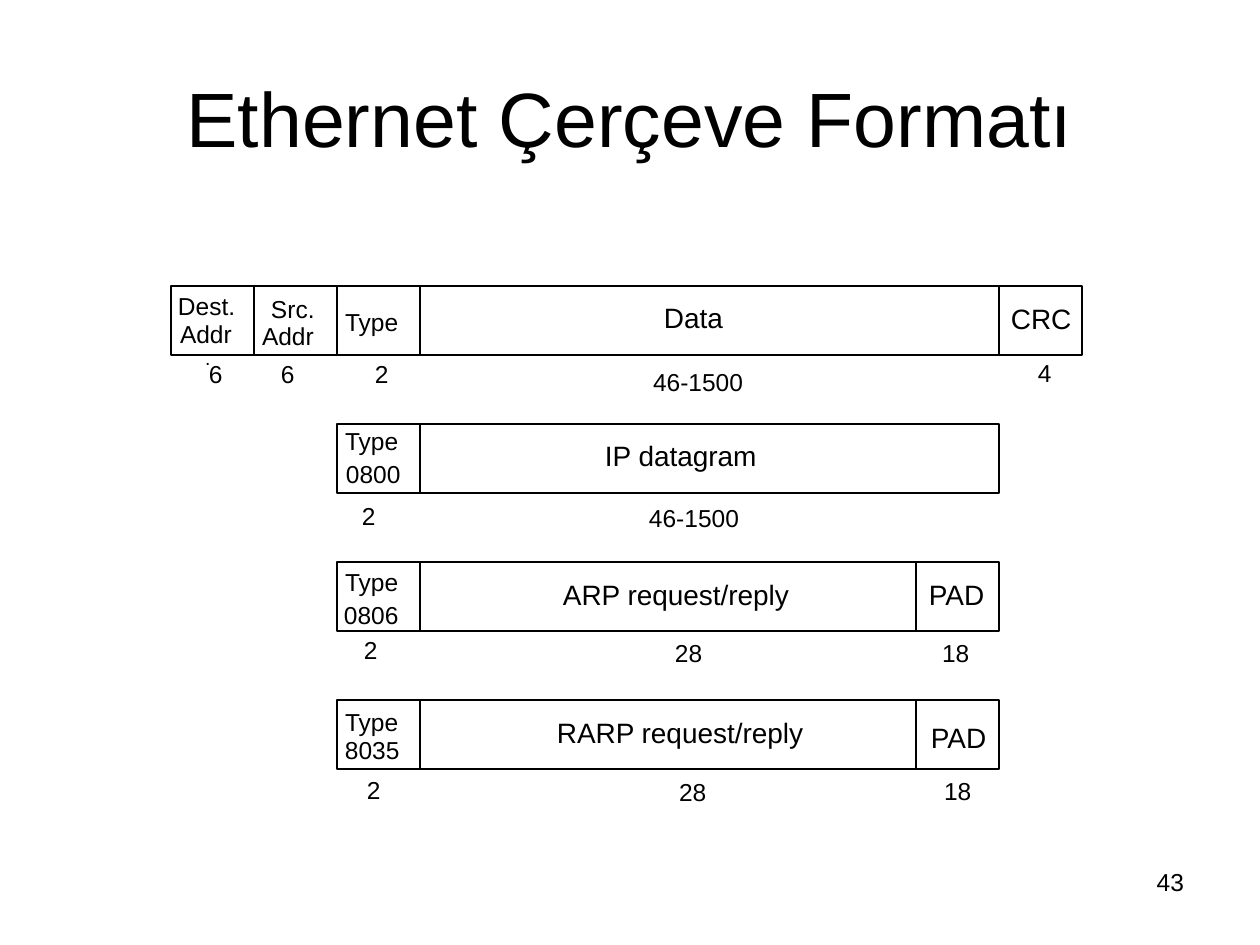
import pptx
import pptx.util
from lxml import etree
from pptx.dml.color import RGBColor
from pptx.enum.shapes import MSO_CONNECTOR, MSO_SHAPE
from pptx.enum.text import MSO_ANCHOR, MSO_AUTO_SIZE, PP_ALIGN
from pptx.oxml.ns import qn

EMU_PER_PX = 914400 / 126
COLORS = {"ink": "000000", "paper": "FFFFFF"}
FONT = "Arial"

TITLE = "Ethernet Çerçeve Formatı"
PAGE_NUMBER = "43"

# Frame edges in px; names and sizes are (text, left, offset below the frame top).
FRAMES = [
    {"edges": [171, 254, 337, 420, 999, 1082],
     "names": [("Data", 664, 15), ("CRC", 1011, 16)],
     "small": [("Dest.", 178, 5), ("Addr", 180, 33), ("Src.", 271, 8),
               ("Addr", 262, 35), ("Type", 345, 21), ("6", 209, 73),
               ("6", 281, 73), ("2", 375, 73), ("46-1500", 653, 81),
               ("4", 1038, 72)],
     "tiny": [(".", 205, 60)]},
    {"edges": [337, 420, 999],
     "names": [("IP datagram", 605, 14)],
     "small": [("Type", 345, 2), ("0800", 346, 35), ("2", 362, 77),
               ("46-1500", 649, 79)]},
    {"edges": [337, 420, 916, 999],
     "names": [("ARP request/reply", 563, 16), ("PAD", 929, 16)],
     "small": [("Type", 345, 5), ("0806", 344, 38), ("2", 364, 73),
               ("28", 675, 76), ("18", 942, 76)]},
    {"edges": [337, 420, 916, 999],
     "names": [("RARP request/reply", 557, 16), ("PAD", 931, 21)],
     "small": [("Type", 345, 7), ("8035", 345, 35), ("2", 367, 75),
               ("28", 679, 77), ("18", 944, 76)]},
]
LABEL_WIDTHS = {
    "Data": 61, "CRC": 64, "PAD": 60, "IP datagram": 154,
    "ARP request/reply": 229, "RARP request/reply": 249,
    "Dest.": 60, "Addr": 54, "Src.": 46, "Type": 56, "46-1500": 93, ".": 7,
}
DIGIT_WIDTH = 15
LABEL_STYLES = {"names": (16, 34), "small": (14, 29), "tiny": (11, 23)}
FIRST_TOP, FRAME_STEP, FRAME_HEIGHT = 286, 138, 69


def px(length):
    return pptx.util.Emu(round(length * EMU_PER_PX))


def color(name):
    return RGBColor.from_string(COLORS[name])


def write(frame, text, size, align=PP_ALIGN.LEFT):
    paragraph = frame.paragraphs[0]
    paragraph.alignment = align
    run = paragraph.add_run()
    run.text = text
    run.font.name = FONT
    run.font.size = pptx.util.Pt(size)
    run.font.color.rgb = color("ink")


def add_text(slide, text, left, top, width, height, size=14,
             align=PP_ALIGN.LEFT, inset=(0, 0), wrap=False):
    frame = slide.shapes.add_textbox(px(left), px(top), px(width), px(height)).text_frame
    frame.margin_left = frame.margin_right = px(inset[0])
    frame.margin_top = frame.margin_bottom = px(inset[1])
    frame.word_wrap = wrap
    frame.auto_size = MSO_AUTO_SIZE.NONE if wrap else MSO_AUTO_SIZE.SHAPE_TO_FIT_TEXT
    write(frame, text, size, align)


def style_line(shape):
    shape.line.color.rgb = color("ink")
    shape.line.width = pptx.util.Pt(0.75)


def add_frame(slide, frame, top):
    """Draw one frame with its field dividers, field names and byte counts."""
    left, *dividers, right = frame["edges"]
    box = slide.shapes.add_shape(MSO_SHAPE.RECTANGLE, px(left), px(top),
                                 px(right - left), px(FRAME_HEIGHT))
    box.shadow.inherit = False
    box.fill.solid()
    box.fill.fore_color.rgb = color("paper")
    style_line(box)
    for x in dividers:
        divider = slide.shapes.add_connector(MSO_CONNECTOR.STRAIGHT, px(x), px(top),
                                             px(x), px(top + FRAME_HEIGHT))
        style_line(divider)
        etree.SubElement(divider.element.spPr, qn("a:effectLst"))
    for kind, (size, height) in LABEL_STYLES.items():
        for text, x, offset in frame.get(kind, []):
            width = LABEL_WIDTHS.get(text, DIGIT_WIDTH * len(text))
            add_text(slide, text, x, top + offset, width, height, size=size)


def main():
    deck = pptx.Presentation()
    deck.slide_width, deck.slide_height = px(1260), px(945)
    slide = deck.slides.add_slide(deck.slide_layouts[5])

    title = slide.shapes.title
    title.left, title.top, title.width, title.height = px(63), px(38), px(1134), px(157)
    title.text_frame.vertical_anchor = MSO_ANCHOR.MIDDLE
    write(title.text_frame, TITLE, 44, PP_ALIGN.CENTER)

    for row, frame in enumerate(FRAMES):
        add_frame(slide, frame, FIRST_TOP + row * FRAME_STEP)

    add_text(slide, PAGE_NUMBER, 903, 861, 294, 65, align=PP_ALIGN.RIGHT,
             inset=(13, 6), wrap=True)
    deck.save("out.pptx")


if __name__ == "__main__":
    main()
